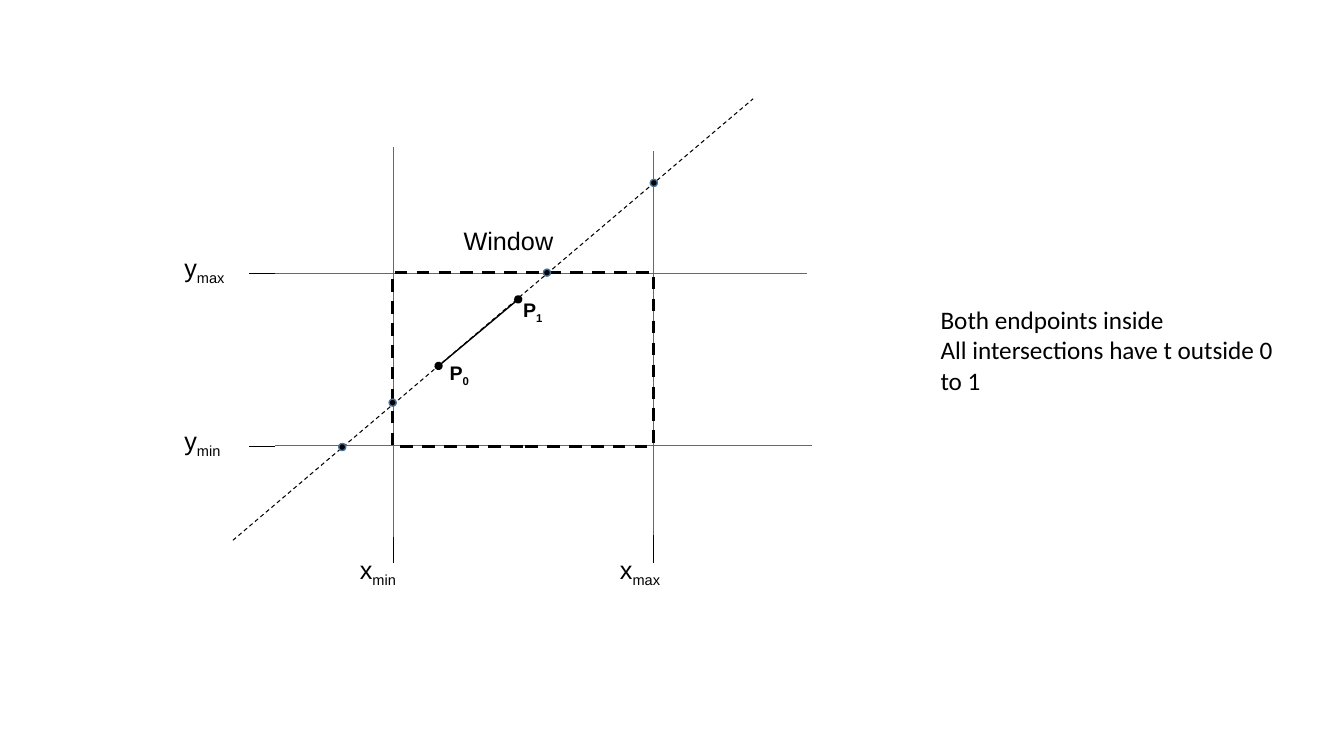
from lxml import etree
from pptx import Presentation
from pptx.dml.color import RGBColor
from pptx.enum.dml import MSO_LINE
from pptx.enum.shapes import MSO_CONNECTOR, MSO_SHAPE
from pptx.enum.text import MSO_AUTO_SIZE
from pptx.oxml.ns import qn
from pptx.util import Inches, Pt

BLACK = RGBColor(0x00, 0x00, 0x00)
BLUE = RGBColor(0x33, 0x66, 0xFF)
STEEL = RGBColor(0x43, 0x73, 0x9E)
STRAIGHT = MSO_CONNECTOR.STRAIGHT
RECT = MSO_SHAPE.RECTANGLE
OVAL = MSO_SHAPE.OVAL
DASH = MSO_LINE.DASH
GROW = MSO_AUTO_SIZE.SHAPE_TO_FIT_TEXT

deck = Presentation()
deck.slide_width = Inches(13.33)
deck.slide_height = Inches(7.5)
slide = deck.slides.add_slide(deck.slide_layouts[6])
shapes = slide.shapes


def add_line(start, end, color=BLACK, width=0.75):
    ends = [Inches(v) for v in (*start, *end)]
    line = shapes.add_connector(STRAIGHT, *ends)
    line.line.color.rgb = color
    line.line.width = Pt(width)
    etree.SubElement(line._element.spPr, qn("a:effectLst"))
    return line


def add_text(lines, box, sub="", size=18, font="Arial", bold=False, wrap=False):
    """Add a text box; sub is a subscript set after the last line."""
    frame = shapes.add_textbox(*[Inches(v) for v in box]).text_frame
    frame.word_wrap = wrap
    frame.auto_size = GROW
    frame.text = lines
    if sub:
        low = frame.paragraphs[-1].add_run()
        low.text = sub
        low._r.get_or_add_rPr().set("baseline", "-25000")
    for para in frame.paragraphs:
        for run in para.runs:
            run.font.size = Pt(size)
            run.font.name = font
            run.font.bold = bold
            run.font.color.rgb = BLACK


# Clip edges extended beyond the window
for start, end in [
    ((3.9, 1.46), (3.9, 5.36)),
    ((6.48, 1.5), (6.48, 5.4)),
    ((8, 2.71), (2.67, 2.71)),
    ((8.05, 4.42), (2.73, 4.42)),
]:
    add_line(start, end, BLUE)

window = shapes.add_shape(RECT, Inches(3.89), Inches(2.7), Inches(2.59), Inches(1.73))
window.shadow.inherit = False
window.fill.background()
window.line.color.rgb = BLACK
window.line.width = Pt(2.25)
window.line.dash_style = DASH

# Ticks and axis labels
for y in (2.71, 4.43):
    add_line((2.73, y), (2.47, y))
for x, top in ((3.9, 5.33), (6.48, 5.31)):
    add_line((x, top), (x, 5.59))
for name, sub, left, top in [
    ("y", "max", 1.73, 2.45),
    ("y", "min", 1.73, 4.17),
    ("x", "min", 3.47, 5.45),
    ("x", "max", 6.05, 5.45),
]:
    wide = 0.73 if sub == "max" else 0.67
    add_text(name, (left, top, wide, 0.45), sub=sub)
add_text("Window", (4.5, 2.19, 1.23, 0.45))

# Infinite line through the segment
ray = add_line((2.31, 5.36), (7.47, 0.98))
ray.line.dash_style = DASH
for sub, left, top in (("1", 5.09, 2.91), ("0", 4.36, 3.53)):
    add_text("P", (left, top, 0.41, 0.34), sub=sub, size=14, bold=True)

# Intersections with the four edges
for left, top in ((3.36, 4.4), (3.86, 3.96), (5.39, 2.67), (6.45, 1.78)):
    dot = shapes.add_shape(OVAL, Inches(left), Inches(top), Inches(0.07), Inches(0.07))
    dot.shadow.inherit = False
    dot.fill.solid()
    dot.fill.fore_color.rgb = BLACK
    dot.line.color.rgb = STEEL
    dot.line.width = Pt(1)

# Segment from P0 to P1 with round ends
segment = add_line((4.35, 3.63), (5.14, 2.97), width=1)
stroke = segment.line._get_or_add_ln()
for tag in ("a:headEnd", "a:tailEnd"):
    etree.SubElement(stroke, qn(tag), type="oval")

add_text(
    "Both endpoints inside\nAll intersections have t outside 0 to 1",
    (9.23, 2.97, 3.62, 1.01),
    font="Calibri",
    wrap=True,
)

deck.save("out.pptx")
